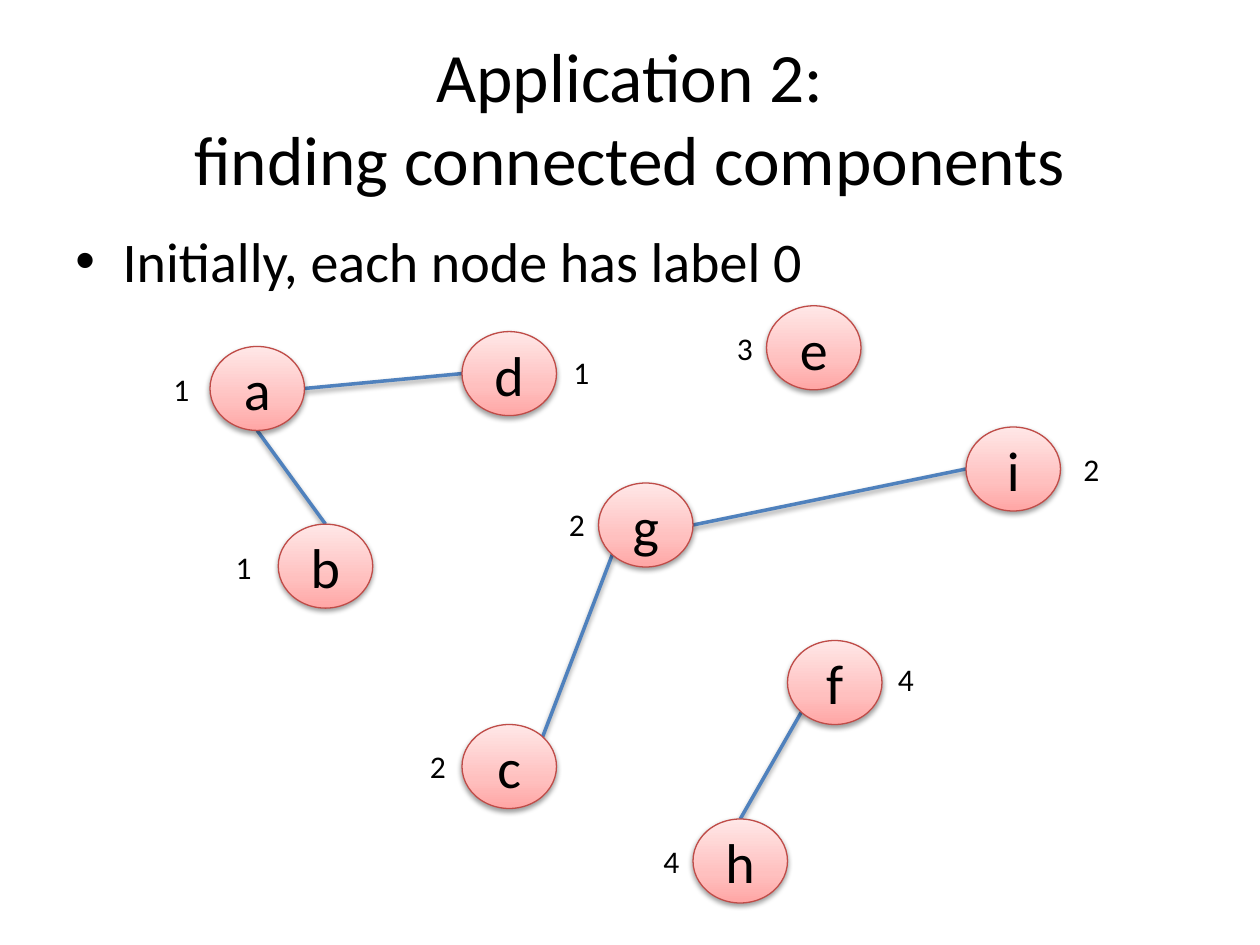
from copy import deepcopy
from dataclasses import dataclass
from math import cos, radians, sin

from pptx import Presentation
from pptx.dml.color import RGBColor as RGB
from pptx.enum.shapes import MSO_CONNECTOR as Connector, MSO_SHAPE as Shape
from pptx.enum.text import MSO_ANCHOR as Anchor, MSO_AUTO_SIZE as AutoSize, PP_ALIGN as Align
from pptx.oxml import parse_xml
from pptx.oxml.ns import nsdecls, qn
from pptx.util import Pt


@dataclass(frozen=True)
class Theme:
    font: str = "Calibri"
    text: str = "000000"
    edge: str = "4F81BD"
    node_line: str = "BF4C48"
    node_stops: tuple = ((0, "FFA6A5"), (0.35, "FFC0BF"), (1, "FFE7E7"))
    title_size: float = 39.6
    body_size: float = 32
    label_size: float = 18


NODE_W, NODE_H = 54, 48
LABEL_W, LABEL_H = 24, 29

# name: (node left, node top, component label, label left, label top)
NODES = {
    "a": (120, 198, "1", 92, 208),
    "b": (159, 299.5, "1", 127.5, 309.5),
    "d": (264, 189.5, "1", 320.5, 198),
    "c": (264, 414, "2", 238.5, 423.5),
    "g": (342, 276, "2", 318, 285),
    "e": (438, 174.75, "3", 414, 184.5),
    "f": (450, 366, "4", 506, 373.5),
    "i": (552, 244, "2", 612, 253.5),
    "h": (396, 468, "4", 372, 477.5),
}

# (from node, angle, to node, angle), angles counter-clockwise from the right
EDGES = [
    ("a", 270, "b", 90),
    ("a", 0, "d", 180),
    ("c", 45, "g", 225),
    ("g", 0, "i", 180),
    ("f", 225, "h", 90),
]


def rim_point(name, angle):
    """Point on the outline of a node, in points."""
    left, top = NODES[name][:2]
    a = radians(angle)
    return (left + NODE_W / 2 * (1 + cos(a)),
            top + NODE_H / 2 * (1 - sin(a)))


class SlideBuilder:
    """Holds the theme and the slide being drawn; lengths are in points."""

    def __init__(self, slide, theme):
        self.slide = slide
        self.shapes = slide.shapes
        self.theme = theme

    def run(self, p, text, size):
        r = p.add_run()
        r.text = text
        r.font.name = self.theme.font
        r.font.size = Pt(size)
        r.font.color.rgb = RGB.from_string(self.theme.text)

    def cast_shadow(self, sp):
        sp._element.spPr.append(parse_xml(
            f'<a:effectLst {nsdecls("a")}>'
            f'<a:outerShdw blurRad="{Pt(3.1)}" dist="{Pt(1.6)}" dir="5400000" rotWithShape="0">'
            '<a:srgbClr val="000000"><a:alpha val="38000"/></a:srgbClr>'
            '</a:outerShdw></a:effectLst>'))

    def title(self, lines, left, top, width, height):
        sp = self.shapes.title
        sp.left, sp.top, sp.width, sp.height = map(Pt, (left, top, width, height))
        tf = sp.text_frame
        tf.auto_size = AutoSize.NONE
        tf.vertical_anchor = Anchor.MIDDLE
        p = tf.paragraphs[0]
        p.alignment = Align.CENTER
        for i, line in enumerate(lines):
            if i:
                p.add_line_break()
            self.run(p, line, self.theme.title_size)

    def text_box(self, text, left, top, width, height, size, wrap=True):
        sp = self.shapes.add_textbox(*map(Pt, (left, top, width, height)))
        tf = sp.text_frame
        tf.word_wrap = wrap
        p = tf.paragraphs[0]
        self.run(p, text, size)
        return p

    def bullet(self, text, left, top, width, height):
        size = self.theme.body_size
        p = self.text_box(text, left, top, width, height, size)
        p.space_before = Pt(size * 0.2)
        pPr = p._p.get_or_add_pPr()
        pPr.set("marL", str(Pt(27)))
        pPr.set("indent", str(Pt(-27)))
        pPr.append(parse_xml(f'<a:buFont {nsdecls("a")} typeface="Arial"/>'))
        pPr.append(parse_xml(f'<a:buChar {nsdecls("a")} char="•"/>'))

    def label(self, text, left, top):
        self.text_box(text, left, top, LABEL_W, LABEL_H, self.theme.label_size, wrap=False)

    def edge(self, start, end):
        cxn = self.shapes.add_connector(Connector.STRAIGHT, *map(Pt, (*start, *end)))
        cxn.line.color.rgb = RGB.from_string(self.theme.edge)
        cxn.line.width = Pt(2)
        self.cast_shadow(cxn)

    def node(self, name, left, top):
        sp = self.shapes.add_shape(Shape.OVAL, *map(Pt, (left, top, NODE_W, NODE_H)))
        sp.fill.gradient()
        sp.fill.gradient_angle = 90
        stops = sp._element.spPr.find(".//" + qn("a:gsLst"))
        stops.insert(1, deepcopy(stops[0]))
        for stop, (position, color) in zip(sp.fill.gradient_stops, self.theme.node_stops):
            stop.position = position
            stop.color.rgb = RGB.from_string(color)
        sp.line.color.rgb = RGB.from_string(self.theme.node_line)
        sp.line.width = Pt(0.75)
        self.cast_shadow(sp)
        tf = sp.text_frame
        tf.vertical_anchor = Anchor.MIDDLE
        p = tf.paragraphs[0]
        p.alignment = Align.CENTER
        self.run(p, name, self.theme.body_size)


def main():
    prs = Presentation()
    prs.slide_width, prs.slide_height = Pt(720), Pt(540)
    s = SlideBuilder(prs.slides.add_slide(prs.slide_layouts[5]), Theme())

    s.title(["Application 2:", "finding connected components"], 36, 21.6, 648, 90)
    s.bullet("Initially, each node has label 0", 36, 126, 648, 356.4)
    for start, start_angle, end, end_angle in EDGES:
        s.edge(rim_point(start, start_angle), rim_point(end, end_angle))
    for name, (left, top, component, label_left, label_top) in NODES.items():
        s.node(name, left, top)
        s.label(component, label_left, label_top)

    prs.save("out.pptx")


if __name__ == "__main__":
    main()
